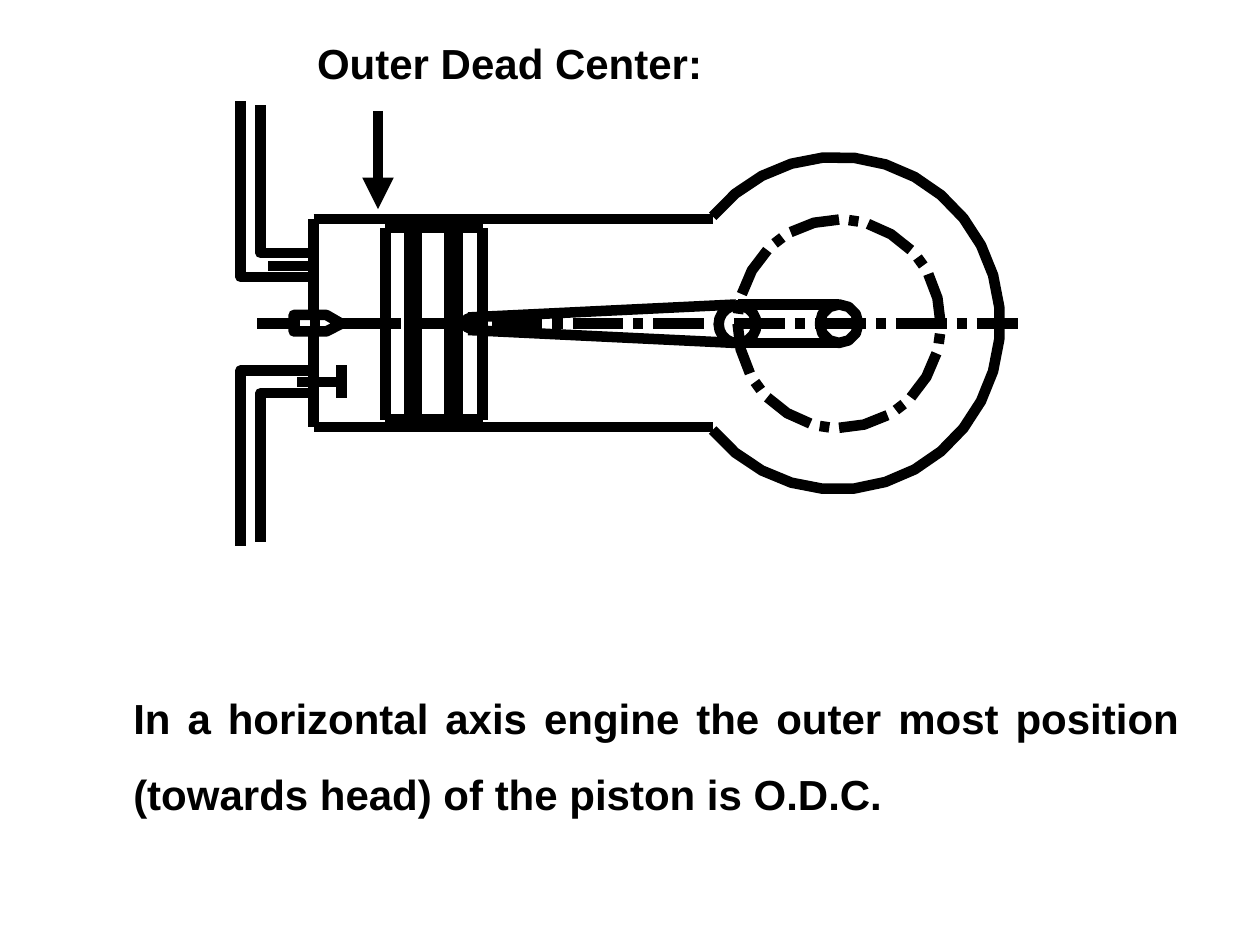
import math

import pptx
import pptx.dml.color
import pptx.enum.shapes
import pptx.enum.text
import pptx.oxml.ns
import pptx.util
from lxml import etree

Pt = pptx.util.Pt
BLACK = pptx.dml.color.RGBColor(0, 0, 0)


class Drawing:
    font_name = "Arial"
    font_size = 24
    stroke = 6

    def __init__(self, slide):
        self.slide = slide

    def outline(self, shape):
        shape.line.color.rgb = BLACK
        shape.line.width = Pt(self.stroke)

    def line(self, x1, y1, x2, y2, arrow=False):
        connector = self.slide.shapes.add_connector(
            pptx.enum.shapes.MSO_CONNECTOR.STRAIGHT, Pt(x1), Pt(y1), Pt(x2), Pt(y2))
        self.outline(connector)
        if arrow:
            etree.SubElement(connector.line._get_or_add_ln(),
                             pptx.oxml.ns.qn("a:tailEnd"), type="triangle")
        etree.SubElement(connector._element.spPr, pptx.oxml.ns.qn("a:effectLst"))

    def path_through(self, points, closed=False):
        corners = [(Pt(x), Pt(y)) for x, y in points]
        builder = self.slide.shapes.build_freeform(*corners[0])
        builder.add_line_segments(corners[1:], close=closed)
        shape = builder.convert_to_shape()
        shape.fill.background()
        shape.shadow.inherit = False
        self.outline(shape)

    def arc(self, center, radii, start, sweep, steps):
        angles = [math.radians(start + sweep * i / steps) for i in range(steps + 1)]
        self.path_through([(center[0] + radii[0] * math.cos(a),
                            center[1] - radii[1] * math.sin(a)) for a in angles])

    def circle(self, center, radius, steps):
        self.arc(center, (radius, radius), 90, 360, steps)

    def text(self, shape, box, words, align, wrap, spacing=1.0):
        shape.left, shape.top, shape.width, shape.height = map(Pt, box)
        frame = shape.text_frame
        frame.word_wrap = wrap
        frame.auto_size = pptx.enum.text.MSO_AUTO_SIZE.SHAPE_TO_FIT_TEXT
        frame.vertical_anchor = pptx.enum.text.MSO_ANCHOR.TOP
        paragraph = frame.paragraphs[0]
        paragraph.alignment = align
        paragraph.line_spacing = spacing
        run = paragraph.add_run()
        run.text = words
        run.font.name = self.font_name
        run.font.size = Pt(self.font_size)
        run.font.bold = True
        run.font.color.rgb = BLACK

    def text_box(self, box, *args):
        self.text(self.slide.shapes.add_textbox(*map(Pt, box)), box, *args)


def draw_crankcase(drawing, axis):
    shaft, pin = (479.5, axis), (421.5, axis + 0.3)
    drawing.arc((478.5, axis - 0.3), (93, 95), 140, -280, 25)
    for dash in range(8):
        start = 90 + 45 * dash
        drawing.arc(shaft, (58, 59.5), start, 28.5, 2)
        drawing.arc(shaft, (58, 59.5), start + 34, 5.5, 1)
    drawing.circle(shaft, 11, 12)
    drawing.circle(pin, 10.8, 20)
    for side in (-1, 1):
        y = axis + 11 * side
        drawing.line(shaft[0], y, pin[0], y)
        drawing.line(420.5, y, 267.5, axis + 3.6 * side)


def draw_axis(drawing, axis):
    drawing.line(146.9, axis, 171.4, axis)
    for dash in range(9):
        left = 177.1 + 46.2 * dash
        drawing.line(left, axis, left + 5.8, axis)
        if dash < 8:
            drawing.line(left + 11.5, axis, left + 40.4, axis)
    drawing.line(558, axis, 581.8, axis)


def draw_cylinder(drawing, axis, head, top, bottom):
    for wall in (top, bottom):
        drawing.line(head, wall, 407.5, wall)
    drawing.line(head, top, head, axis - 5)
    drawing.line(head, axis + 4.4, head, bottom)
    for edge in (220.3, 275.8):
        drawing.line(edge, 130.3, edge, 239.8)
    for ring in (234, 238.3, 257, 261.4):
        drawing.line(ring, top, ring, bottom)
    for face in (130.3, 239.8):
        for left, right in ((220.3, 234), (238.3, 257), (261.4, 275.8)):
            drawing.line(left, face, right, face)
    drawing.circle((268.6, axis - 0.3), 3, 8)


def draw_head_fittings(drawing, axis, head):
    for pipe_x, joint_y, end_y in ((137.5, 158.4, 57.6), (149, 144.7, 59.8),
                                   (137.5, 211.7, 311.8), (149, 224.6, 309.6)):
        drawing.path_through([(head, joint_y), (pipe_x, joint_y), (pipe_x, end_y)])
    drawing.line(153.4, 151.9, head, 151.9)
    drawing.line(169.9, 218.2, 195.1, 218.2)
    drawing.line(195.1, 208.8, 195.1, 227.5)
    drawing.path_through([(167.8, axis - 5), (186.5, axis - 5), (195.1, axis),
                          (186.5, axis + 4.4), (167.8, axis + 4.4)], closed=True)


def main():
    deck = pptx.Presentation()
    deck.slide_width, deck.slide_height = Pt(720), Pt(540)
    slide = deck.slides.add_slide(deck.slide_layouts[5])
    drawing = Drawing(slide)
    align = pptx.enum.text.PP_ALIGN
    axis, head = 185, 179.2

    draw_crankcase(drawing, axis)
    draw_axis(drawing, axis)
    draw_cylinder(drawing, axis, head, 125.2, 244.1)
    draw_head_fittings(drawing, axis, head)
    drawing.text(slide.shapes.title, (174, 18, 243.5, 36), "Outer Dead Center:",
                 align.LEFT, False)
    drawing.text_box((69.1, 378, 612, 89.3),
                     "In a horizontal axis engine the outer most position "
                     "(towards head) of the piston is O.D.C.",
                     align.JUSTIFY, True, 1.5)
    drawing.line(216, 63.4, 216, 119.5, arrow=True)
    deck.save("out.pptx")


if __name__ == "__main__":
    main()
